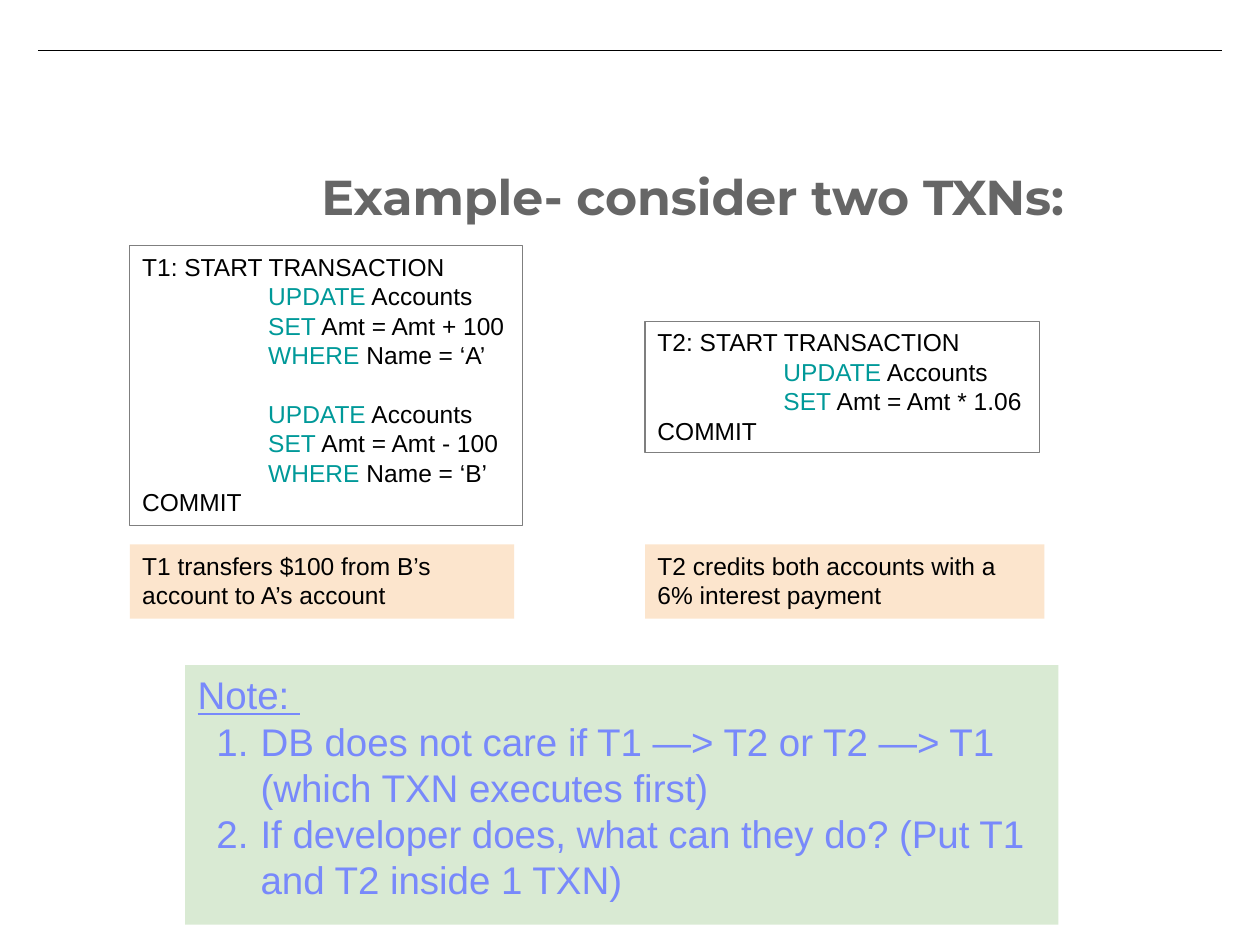
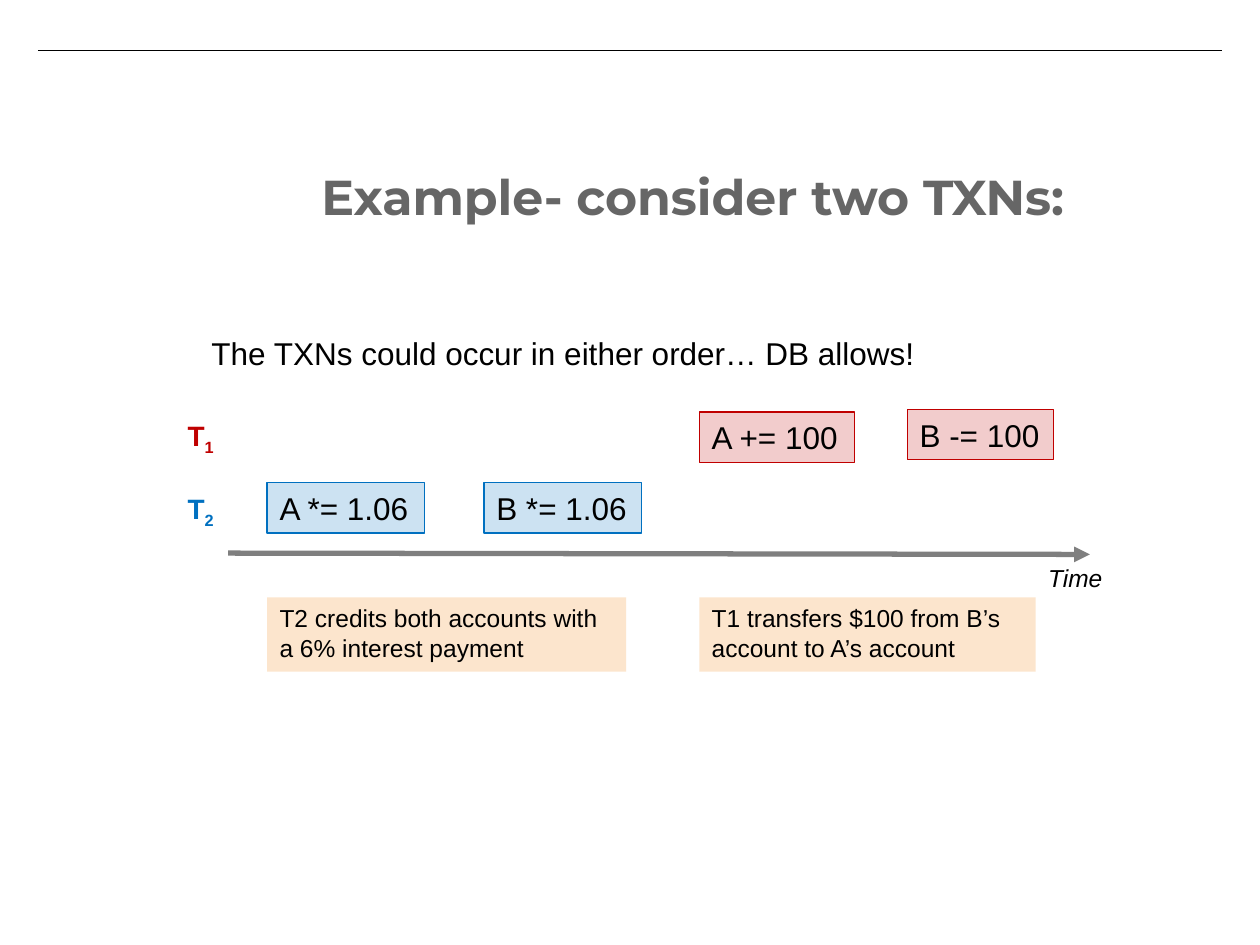
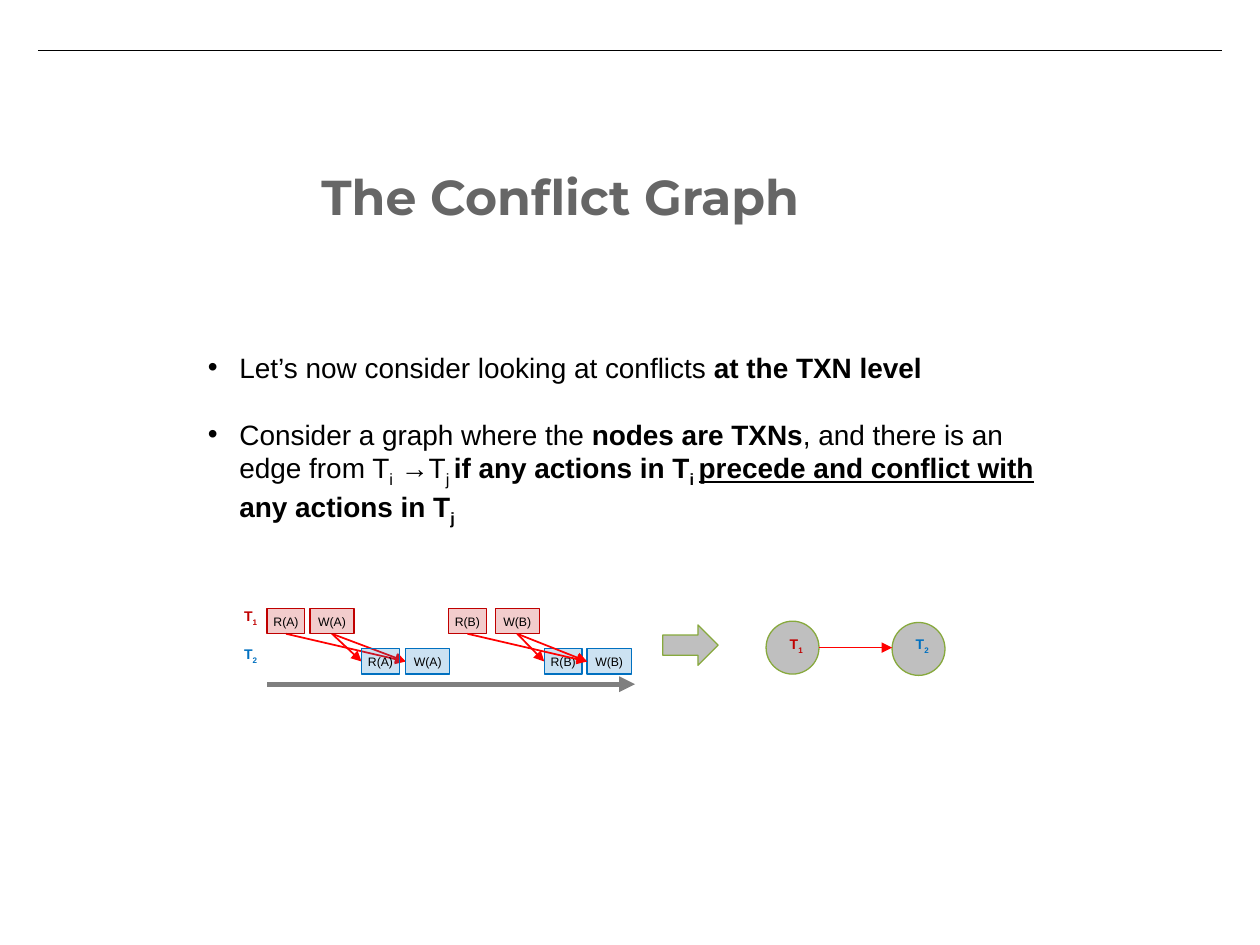
from lxml.etree import SubElement
from pptx import Presentation
from pptx.dml.color import RGBColor
from pptx.enum.shapes import MSO_CONNECTOR, MSO_SHAPE
from pptx.enum.text import MSO_ANCHOR, MSO_AUTO_SIZE, PP_ALIGN
from pptx.oxml.ns import qn
from pptx.util import Inches, Pt

COLUMNS, ROWS = 100, 75
CELL = Inches(0.1)
TITLE_ONLY, TITLE_AND_BODY = 5, 1
BLACK, WHITE, GREY, SILVER = "000000", "FFFFFF", "7F7F7F", "BFBFBF"
TITLE_GREY, KEYWORD, CONFLICT, NODE_LINE = "666666", "009999", "FF0000", "87A93D"
PEACH, MINT, PERIWINKLE = "FCE5CD", "D9EAD3", "7889FB"
RED, BLUE = "C00000", "0070C0"
TRANSACTION_COLOURS = {1: RED, 2: BLUE}
TRANSFER = "T1 transfers $100 from B’s account to A’s account"
INTEREST = "T2 credits both accounts with a 6% interest payment"
TXN_TITLE = "Example- consider two TXNs:"


def cells(*counts):
    return [round(count * CELL) for count in counts]


def colour(hex_text):
    return RGBColor.from_string(hex_text)


def write(para, text, size=14, ink=BLACK, face="Arial", bold=False,
          italic=False, underline=False, subscript=False):
    span = para.add_run()
    span.text = text
    font = span.font
    font.name, font.size = face, Pt(size)
    font.bold, font.italic, font.underline = bold, italic, underline
    font.color.rgb = colour(ink)
    if subscript:
        span._r.get_or_add_rPr().set("baseline", "-25000")


def paragraph(*spans, margin=0, hanging=0, bullet=None, before=0):
    return {"spans": spans, "margin": margin, "hanging": hanging,
            "bullet": bullet, "before": before}


def statement(keyword, rest, before=0):
    return paragraph((keyword, {"ink": KEYWORD}), " " + rest,
                     margin=10, before=before)


def transaction_name(number):
    return paragraph("T", (str(number), {"subscript": True}))


class Deck:
    def __init__(self):
        self.deck = Presentation()
        self.deck.slide_width, self.deck.slide_height = cells(COLUMNS, ROWS)
        self.page = None

    def new_page(self, title, layout=TITLE_ONLY):
        self.page = self.deck.slides.add_slide(self.deck.slide_layouts[layout])
        self.line((3, 4), (97, 4), BLACK, 0.75)
        self.placeholder(self.page.shapes.title, (24.5, 12.2, 73.1, 12.7), [paragraph(title)],
                         inset=(1, 1), size=28, ink=TITLE_GREY, face="Montserrat", bold=True)

    def placeholder(self, holder, area, paras, **style):
        holder.left, holder.top, holder.width, holder.height = cells(*area)
        self.fill_text(holder.text_frame, paras, **style)

    def fill_text(self, frame, paras, inset=(1, 0.5), centred=False, wrap=True, **style):
        frame.auto_size = MSO_AUTO_SIZE.NONE
        frame.word_wrap = wrap
        frame.vertical_anchor = MSO_ANCHOR.MIDDLE if centred else MSO_ANCHOR.TOP
        side, edge = cells(*inset)
        frame.margin_left = frame.margin_right = side
        frame.margin_top = frame.margin_bottom = edge
        for index, item in enumerate(paras):
            para = frame.add_paragraph() if index else frame.paragraphs[0]
            self.format_paragraph(para, item)
            para.alignment = PP_ALIGN.CENTER if centred else PP_ALIGN.LEFT
            for span in item["spans"]:
                text, extra = (span, {}) if isinstance(span, str) else span
                write(para, text, **{**style, **extra})

    def format_paragraph(self, para, item):
        properties = para._p.get_or_add_pPr()
        margin, hanging = cells(item["margin"], item["hanging"])
        properties.set("marL", str(margin))
        properties.set("indent", str(-hanging))
        if item["bullet"] == "number":
            SubElement(properties, qn("a:buAutoNum"), type="arabicPeriod")
        elif item["bullet"]:
            SubElement(properties, qn("a:buFont"), typeface="Arial")
            SubElement(properties, qn("a:buChar"), char=item["bullet"])
        else:
            SubElement(properties, qn("a:buNone"))
        para.space_before = Pt(item["before"])

    def shape(self, area, fill, outline=None, opacity=None, kind=MSO_SHAPE.RECTANGLE):
        shape = self.page.shapes.add_shape(kind, *cells(*area))
        shape.shadow.inherit = False
        shape.fill.solid()
        shape.fill.fore_color.rgb = colour(fill)
        if opacity:
            paint = shape.element.spPr.find(qn("a:solidFill"))[0]
            SubElement(paint, qn("a:alpha"), val=str(opacity * 1000))
        if outline:
            shape.line.color.rgb = colour(outline)
            shape.line.width = Pt(0.75)
        else:
            shape.line.fill.background()
        return shape

    def panel(self, area, paras, fill, outline=None, opacity=None, **style):
        box = self.shape(area, fill, outline, opacity)
        self.fill_text(box.text_frame, paras, **style)

    def label(self, area, paras, **style):
        box = self.page.shapes.add_textbox(*cells(*area))
        self.fill_text(box.text_frame, paras, **style)

    def line(self, start, end, ink, width, arrow=False):
        connector = self.page.shapes.add_connector(MSO_CONNECTOR.STRAIGHT, *cells(*start, *end))
        connector.line.color.rgb = colour(ink)
        connector.line.width = Pt(width)
        properties = connector.element.spPr
        if arrow:
            SubElement(properties.find(qn("a:ln")), qn("a:tailEnd"), type="triangle")
        SubElement(properties, qn("a:effectLst"))

    def small_name(self, left, top, number):
        self.label((left, top, 2.8, 2.2), [transaction_name(number)], inset=(0, 0.5),
                   centred=True, size=8, ink=TRANSACTION_COLOURS[number], bold=True)

    def node(self, left, top, number):
        self.shape((left, top, 4.2, 4.2), SILVER, NODE_LINE, kind=MSO_SHAPE.OVAL)
        self.small_name(left + 1, 50.1, number)

    def small_action(self, left, top, width, text, ink):
        self.panel((left, top, width, 2), [paragraph(text)], ink, ink, opacity=20,
                   inset=(0, 0.5), centred=True, wrap=False, size=7)


def transactions_page(deck):
    deck.new_page(TXN_TITLE)
    transfer_code = [
        paragraph("T1: START TRANSACTION"),
        statement("UPDATE", "Accounts"),
        statement("SET", "Amt = Amt + 100"),
        statement("WHERE", "Name = ‘A’"),
        statement("UPDATE", "Accounts", before=16.7),
        statement("SET", "Amt = Amt - 100"),
        statement("WHERE", "Name = ‘B’"),
        paragraph("COMMIT"),
    ]
    interest_code = [
        paragraph("T2: START TRANSACTION"),
        statement("UPDATE", "Accounts"),
        statement("SET", "Amt = Amt * 1.06"),
        paragraph("COMMIT"),
    ]
    deck.panel((10.3, 19.5, 31.2, 22.2), transfer_code, WHITE, GREY)
    deck.panel((51.2, 25.5, 31.3, 10.4), interest_code, WHITE, GREY)
    for left, width, text in ((10.3, 30.5, TRANSFER), (51.2, 31.7, INTEREST)):
        deck.panel((left, 43.2, width, 5.9), [paragraph(text)], PEACH)
    rules = ("DB does not care if T1 —> T2 or T2 —> T1 (which TXN executes first)",
             "If developer does, what can they do? (Put T1 and T2 inside 1 TXN)")
    note = [paragraph(("Note: ", {"underline": True}))]
    note += [paragraph(rule, margin=5, hanging=3.5, bullet="number") for rule in rules]
    deck.panel((14.7, 52.8, 69.3, 20.6), note, MINT, size=22, ink=PERIWINKLE)


def schedule_page(deck):
    deck.new_page(TXN_TITLE)
    for left, width, text in ((55.5, 26.7, TRANSFER), (21.2, 28.5, INTEREST)):
        deck.panel((left, 47.4, width, 5.9), [paragraph(text)], PEACH)
    deck.line((18.1, 43.9), (86.5, 44), GREY, 3, arrow=True)
    for number, top in ((1, 32.7), (2, 38.5)):
        deck.label((13.9, top, 4.2, 3.7), [transaction_name(number)], wrap=False,
                   size=16, ink=TRANSACTION_COLOURS[number], bold=True)
    actions = ((55.5, 32.7, 12.3, "A += 100", RED), (72, 32.5, 11.6, "B -= 100", RED),
               (21.2, 38.3, 12.5, "A *= 1.06", BLUE), (38.4, 38.3, 12.5, "B *= 1.06", BLUE))
    for left, top, width, text, ink in actions:
        deck.panel((left, top, width, 4), [paragraph(text)], ink, ink, opacity=20,
                   wrap=False, size=18)
    deck.label((82.2, 44.2, 6.4, 3.4), [paragraph("Time")], wrap=False, italic=True)
    deck.label((15.8, 26, 62.2, 4),
               [paragraph("The TXNs could occur in either order… DB allows!")], size=18)


def draw_conflicts(deck, lefts):
    read_1, write_1, read_2, write_2 = lefts
    read_middle, write_middle = read_1 + 1.5, write_1 + 1.75
    for start, end in ((write_middle, read_2), (read_middle, write_2), (write_middle, write_2)):
        deck.line((start, 50.3), (end, 52.5), CONFLICT, 1, arrow=True)


def conflict_graph_page(deck):
    deck.new_page("The Conflict Graph", TITLE_AND_BODY)
    bold, low = {"bold": True}, {"subscript": True}
    bullet = {"margin": 2.5, "hanging": 2.5, "bullet": "•"}
    points = [
        paragraph("Let’s now consider looking at conflicts ", ("at the TXN level", bold), **bullet),
        paragraph("Consider a graph where the ", ("nodes are TXNs", bold),
                  ", and there is an edge from T", ("i", low), " →T", ("j ", low),
                  ("if any actions in T", bold), ("i ", {**bold, **low}),
                  ("precede and conflict with", {**bold, "underline": True}),
                  (" any actions in T", bold), ("j", {**bold, **low}), before=19.1, **bullet),
    ]
    deck.placeholder(deck.page.placeholders[1], (15.5, 27.3, 69, 17.6), points, size=16)

    deck.node(60.8, 49.3, 1)
    deck.node(70.8, 49.4, 2)

    action_lefts = {"A": (21.2, 24.6, 28.7, 32.2), "B": (35.6, 39.3, 43.2, 46.6)}
    draw_conflicts(deck, action_lefts["A"])
    deck.line((21.2, 54.3), (50.4, 54.3), GREY, 3, arrow=True)
    deck.small_name(18.5, 47.9, 1)
    deck.small_name(18.5, 50.9, 2)
    steps = (("R", 3, 48.3, RED), ("W", 3.5, 48.3, RED),
             ("R", 3, 51.5, BLUE), ("W", 3.5, 51.5, BLUE))
    for account, lefts in action_lefts.items():
        for left, (verb, width, top, ink) in zip(lefts, steps):
            deck.small_action(left, top, width, f"{verb}({account})", ink)
    draw_conflicts(deck, action_lefts["B"])

    deck.shape((52.6, 49.6, 4.4, 3.2), SILVER, NODE_LINE, kind=MSO_SHAPE.RIGHT_ARROW)
    deck.line((65, 51.4), (70.8, 51.4), CONFLICT, 1, arrow=True)


def main():
    deck = Deck()
    transactions_page(deck)
    schedule_page(deck)
    conflict_graph_page(deck)
    deck.deck.save("out.pptx")


if __name__ == "__main__":
    main()
